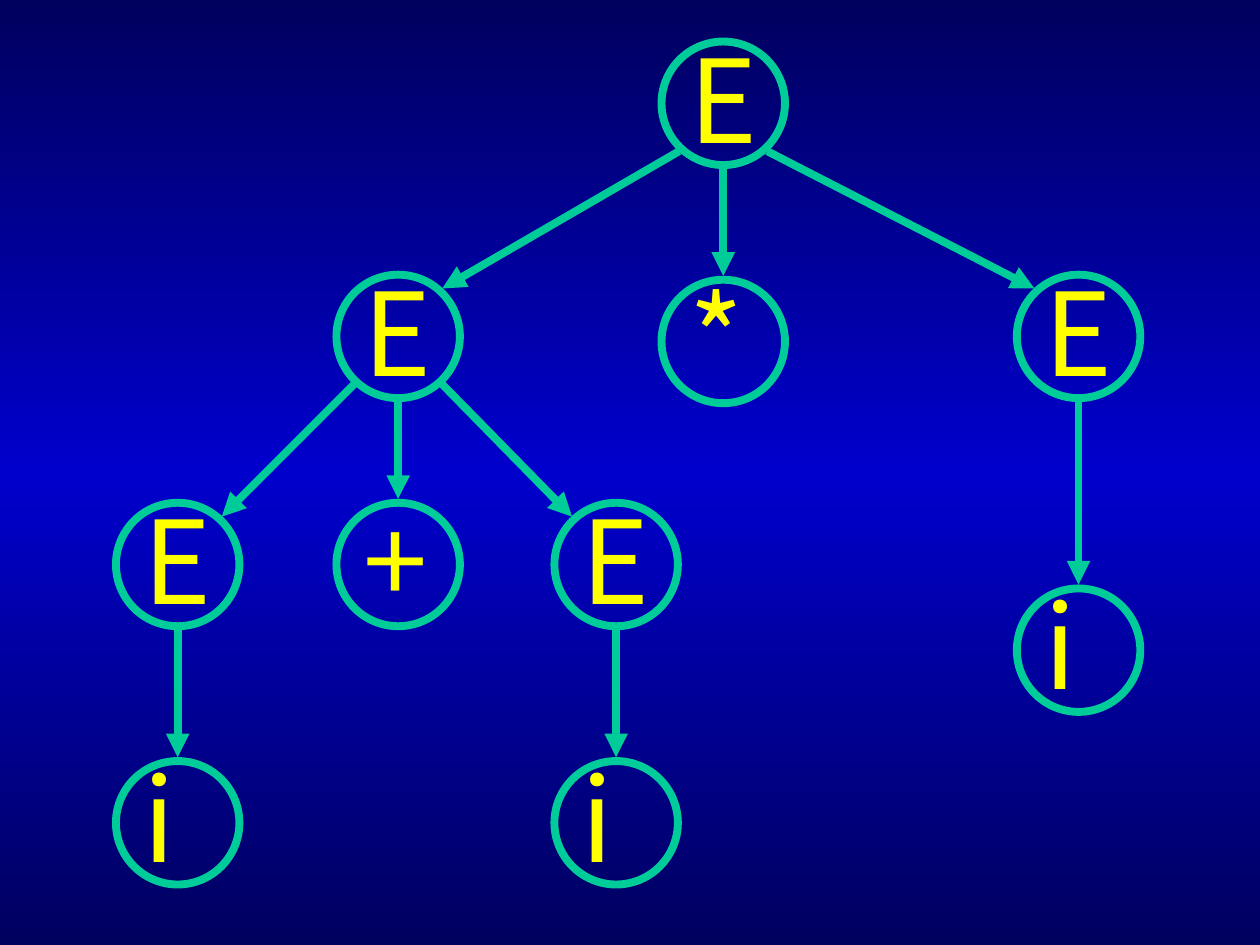
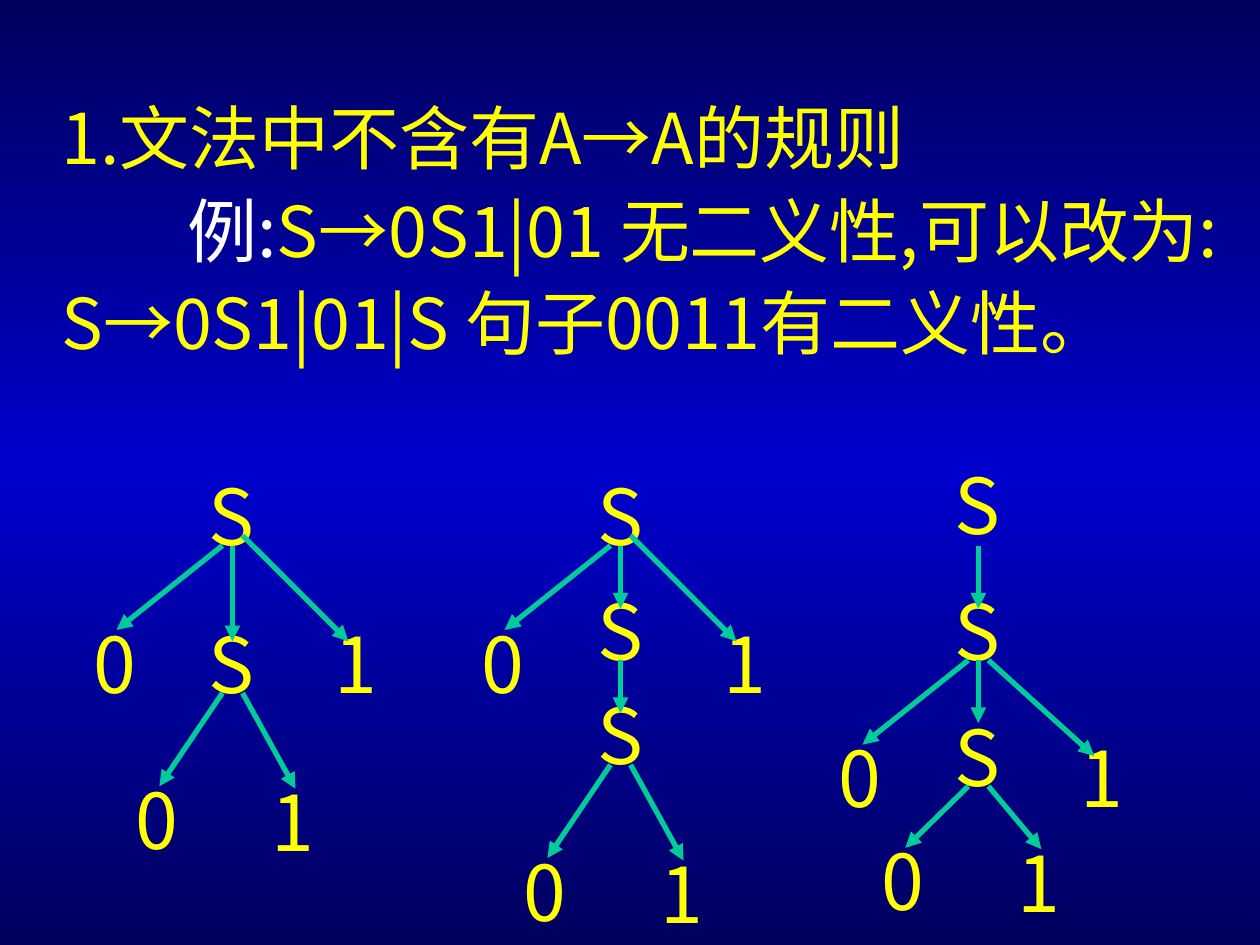
from copy import deepcopy

from lxml.etree import SubElement
from pptx import Presentation
from pptx.dml.color import RGBColor
from pptx.enum.shapes import MSO_CONNECTOR as Connector, MSO_SHAPE as Shape
from pptx.oxml.ns import qn
from pptx.util import Inches, Pt

FONT = "Noto Sans CJK SC"
YELLOW, WHITE, GREEN = "FFFF00", "FFFFFF", "00CC99"
NIGHT, BLUE = "00005E", "0000CC"

CIRCLE = 0.98
GAP = 0.03
CORNER_X, CORNER_Y = 0.35, 0.38
LABEL_X, LABEL_Y = 0.12, -0.16
PARSE_TREE = [
    ("E", 5.25, 0.33, None),
    ("E", 2.67, 2.18, 0),
    ("*", 5.25, 2.22, 0),
    ("E", 8.07, 2.18, 0),
    ("E", 0.92, 3.99, 1),
    ("+", 2.67, 3.99, 1),
    ("E", 4.40, 3.99, 1),
    ("i", 0.92, 6.04, 4),
    ("i", 4.40, 6.04, 6),
    ("i", 8.07, 4.67, 3),
]

RULE_TEXT = [
    [("1.文法中不含有A→A的规则", YELLOW)],
    [("\t例:", WHITE), ("S→0S1|01 无二义性,可以改为:", YELLOW)],
    [("S→0S1|01|S 句子0011有二义性。", YELLOW)],
]

LETTER_W, LETTER_H = 0.57, 0.84
SPREAD = 0.08
OUTER_ZERO, OUTER_ONE, INNER_ZERO, INNER_ONE = -0.92, 1.0, -0.58, 0.5
LEAVE, LEAVE_HIGH, LEAVE_LOW = 0.66, 0.58, 0.75
LAND, LAND_DEEP = 0.16, 0.25
DERIVATIONS = [
    (1.56, [
        ("S", 0, 3.67, None, 0, 0),
        ("0", OUTER_ZERO, 4.84, 0, LEAVE, LAND),
        ("S", 0, 4.84, 0, LEAVE, LAND_DEEP),
        ("1", OUTER_ONE, 4.84, 0, LEAVE_HIGH, LAND_DEEP),
        ("0", INNER_ZERO, 6.08, 2, LEAVE, LAND),
        ("1", INNER_ONE, 6.10, 2, LEAVE, LAND),
    ]),
    (4.64, [
        ("S", 0, 3.67, None, 0, 0),
        ("0", OUTER_ZERO, 4.84, 0, LEAVE, LAND),
        ("S", 0, 4.58, 0, LEAVE, LAND_DEEP),
        ("1", OUTER_ONE, 4.84, 0, LEAVE_HIGH, LAND_DEEP),
        ("S", 0, 5.41, 2, LEAVE, LAND_DEEP),
        ("0", INNER_ZERO, 6.65, 4, LEAVE, LAND),
        ("1", INNER_ONE, 6.67, 4, LEAVE, LAND),
    ]),
    (7.48, [
        ("S", 0, 3.58, None, 0, 0),
        ("S", 0, 4.58, 0, LEAVE_LOW, LAND_DEEP),
        ("0", OUTER_ZERO, 5.75, 1, LEAVE, LAND),
        ("S", 0, 5.58, 1, LEAVE, LAND),
        ("1", OUTER_ONE, 5.75, 1, LEAVE, LAND_DEEP),
        ("0", INNER_ZERO, 6.57, 3, LEAVE, LAND),
        ("1", INNER_ONE, 6.58, 3, LEAVE, LAND),
    ]),
]


def rgb(color):
    return RGBColor.from_string(color)


def side(parent_x, child_x):
    return (child_x > parent_x) - (child_x < parent_x)


def paint_background(master):
    fill = master.background.fill
    fill.gradient()
    fill.gradient_angle = 90
    first = fill.gradient_stops[0]._gs
    first.addnext(deepcopy(first))
    for stop, (position, color) in zip(
            fill.gradient_stops, [(0, NIGHT), (0.5, BLUE), (1, NIGHT)]):
        stop.position = position
        stop.color.rgb = rgb(color)


def add_text(slide, box, paragraphs, size, spacing=0):
    frame = slide.shapes.add_textbox(*map(Inches, box)).text_frame
    frame.word_wrap = True
    for number, pieces in enumerate(paragraphs):
        paragraph = frame.add_paragraph() if number else frame.paragraphs[0]
        paragraph.space_before = paragraph.space_after = Pt(spacing)
        paragraph._p.get_or_add_pPr().set("defTabSz", str(Inches(1)))
        paragraph.font.size = Pt(size)
        paragraph.font.name = FONT
        for text, color in pieces:
            run = paragraph.add_run()
            run.text = text
            run.font.color.rgb = rgb(color)
            SubElement(run.font._element, qn("a:ea"), typeface=FONT)


def add_arrow(slide, start, end, width):
    arrow = slide.shapes.add_connector(
        Connector.STRAIGHT, *map(Inches, (*start, *end)))
    arrow.line.color.rgb = rgb(GREEN)
    arrow.line.width = Pt(width)
    SubElement(arrow.line._get_or_add_ln(), qn("a:tailEnd"), type="triangle")
    SubElement(arrow._element.spPr, qn("a:effectLst"))


def draw_parse_tree(slide):
    radius = CIRCLE / 2
    for label, x, y, parent in PARSE_TREE:
        circle = slide.shapes.add_shape(
            Shape.OVAL, *map(Inches, (x, y, CIRCLE, CIRCLE)))
        circle.shadow.inherit = False
        circle.fill.background()
        circle.line.color.rgb = rgb(GREEN)
        circle.line.width = Pt(4.5)
        add_text(slide, (x + LABEL_X, y + LABEL_Y, 0.75, 1.2),
                 [[(label, YELLOW)]], 66)
        if parent is None:
            continue
        _, parent_x, parent_y, _ = PARSE_TREE[parent]
        turn = side(parent_x, x)
        reach_x = turn * CORNER_X
        reach_y = CORNER_Y if turn else radius + GAP
        add_arrow(slide,
                  (parent_x + radius + reach_x, parent_y + radius + reach_y),
                  (x + radius - reach_x, y + radius - reach_y), 4.5)


def draw_derivation(slide, spine, letters):
    middle = spine + LETTER_W / 2
    for letter, shift, top, parent, leave, land in letters:
        add_text(slide, (spine + shift, top, LETTER_W, LETTER_H),
                 [[(letter, YELLOW)]], 44)
        if parent is None:
            continue
        _, parent_shift, parent_top, *_ = letters[parent]
        offset = SPREAD * side(parent_shift, shift)
        inset = offset if land == LAND_DEEP else 0
        add_arrow(slide, (middle + parent_shift + offset, parent_top + leave),
                  (middle + shift - inset, top + land), 3)


def main():
    deck = Presentation()
    deck.slide_width, deck.slide_height = Inches(10), Inches(7.5)
    paint_background(deck.slide_master)
    blank = deck.slide_layouts[6]

    draw_parse_tree(deck.slides.add_slide(blank))

    ambiguity = deck.slides.add_slide(blank)
    add_text(ambiguity, (0.39, 0.7, 9.61, 2.91), RULE_TEXT, 40, 2.5)
    for spine, letters in DERIVATIONS:
        draw_derivation(ambiguity, spine, letters)

    deck.save("out.pptx")


if __name__ == "__main__":
    main()
